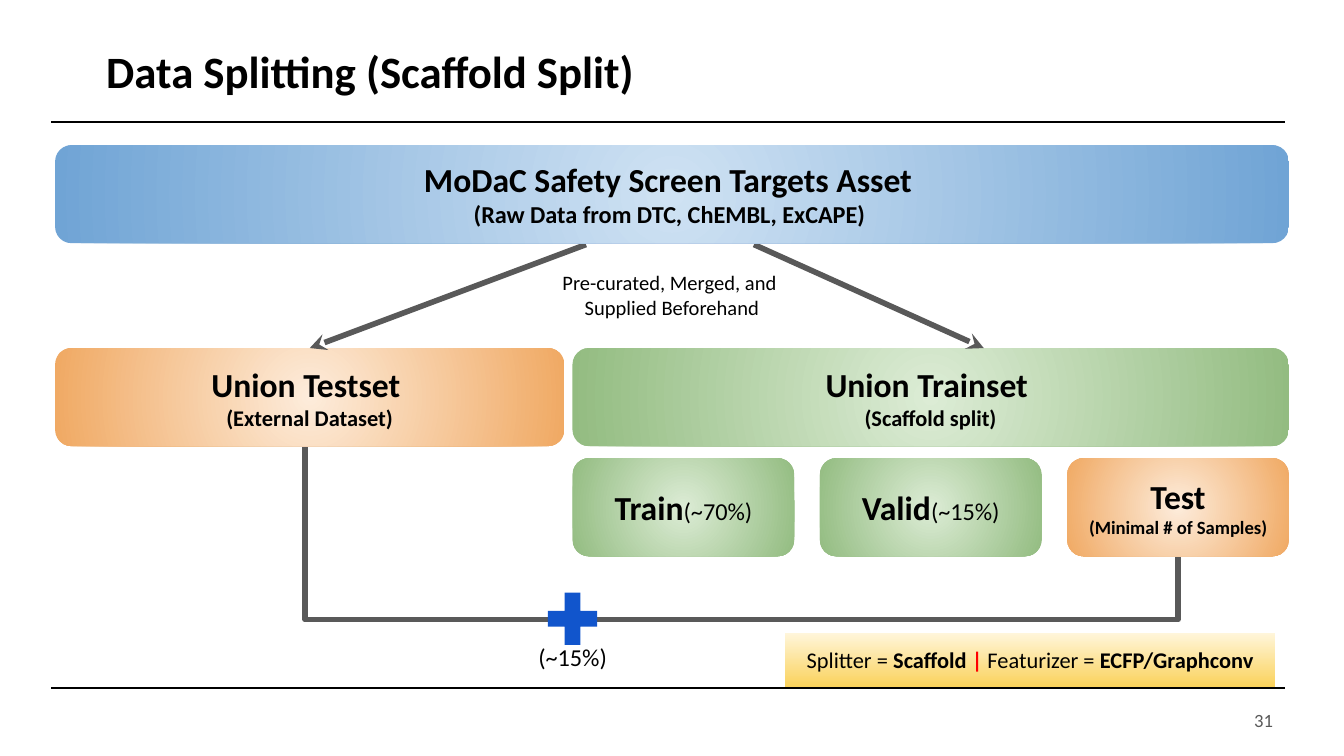
from lxml import etree
from pptx import Presentation
from pptx.dml.color import RGBColor
from pptx.enum.shapes import MSO_CONNECTOR, MSO_SHAPE
from pptx.enum.text import MSO_ANCHOR, PP_ALIGN
from pptx.oxml.ns import qn
from pptx.util import Inches, Pt

FONT = "Calibri"
BLACK, GREY, RED, PLUS_BLUE = "000000", "595959", "FF0000", "1155CC"
BLUE = ("CFE2F3", "70A4D5")
GREEN = ("DCECD5", "93BC81")
ORANGE = ("FDECDB", "F0A963")
YELLOW = ("FFF6DB", "FAD25C")
LEFT_ALIGN, CENTER, RIGHT = PP_ALIGN.LEFT, PP_ALIGN.CENTER, PP_ALIGN.RIGHT
MIDDLE, TOP = MSO_ANCHOR.MIDDLE, MSO_ANCHOR.TOP

# Text is a list of paragraphs, each a list of runs (text, size, bold, colour).
TITLE = [[("Data Splitting (Scaffold Split)", 24, True, BLACK)]]
NOTE = [[("Pre-curated, Merged, and ", 11, False, BLACK)],
        [("Supplied Beforehand", 11, False, BLACK)]]
SHARE = [[("(~15%)", 13, False, BLACK)]]
NUMBER = [[("31", 10, False, GREY)]]
SETTINGS = [[("Splitter = ", 12, False, BLACK), ("Scaffold ", 12, True, BLACK),
             ("| ", 12, True, RED), ("Featurizer = ", 12, False, BLACK),
             ("ECFP/Graphconv", 12, True, BLACK)]]


def heading(name, detail, size):
    return [[(name, 18, True, BLACK)], [(detail, size, True, BLACK)]]


def portion(name, share):
    return [[(name, 18, True, BLACK), (share, 13, False, BLACK)]]


LEFT, EDGE, BOX_H = 0.41, 9.59, 0.73
ASSET_Y, UNION_Y, SPLIT_Y = 1.08, 2.59, 3.41
TRAIN_X, SPLIT_W, SPLIT_STEP = 4.26, 1.65, 1.84
JOIN_Y = 4.61

SPLITS = [
    (portion("Train", "(~70%)"), GREEN),
    (portion("Valid", "(~15%)"), GREEN),
    (heading("Test", "(Minimal # of Samples)", 10), ORANGE),
]


def rgb(value):
    return RGBColor.from_string(value)


def write(sp, paragraphs, align=CENTER, anchor=MIDDLE, inset=0.1):
    tf = sp.text_frame
    tf.word_wrap = True
    tf.vertical_anchor = anchor
    tf.margin_left = tf.margin_right = Inches(0.1)
    tf.margin_top = tf.margin_bottom = Inches(inset)
    for i, runs in enumerate(paragraphs):
        p = tf.add_paragraph() if i else tf.paragraphs[0]
        p.alignment = align
        p.font.name = FONT
        for text, size, bold, color in runs:
            r = p.add_run()
            r.text = text
            r.font.name = FONT
            r.font.size = Pt(size)
            r.font.bold = bold
            r.font.color.rgb = rgb(color)


def add_shape(kind, x, y, w, h):
    sp = slide.shapes.add_shape(kind, Inches(x), Inches(y), Inches(w), Inches(h))
    sp.shadow.inherit = False
    sp.line.fill.background()
    return sp


def add_text(x, y, w, h, paragraphs, **layout):
    sp = slide.shapes.add_textbox(Inches(x), Inches(y), Inches(w), Inches(h))
    write(sp, paragraphs, **layout)


def shade(sp, colors, radial=True):
    """Two-colour gradient, from the centre outwards or from top to bottom."""
    sp.fill.gradient()
    sp.fill.gradient_angle = 270
    for stop, color in zip(sp.fill.gradient_stops, colors):
        stop.color.rgb = rgb(color)
    if radial:
        grad = sp._element.spPr.find(qn("a:gradFill"))
        grad.remove(grad.find(qn("a:lin")))
        circle = etree.SubElement(grad, qn("a:path"), path="circle")
        etree.SubElement(circle, qn("a:fillToRect"),
                         {side: "50000" for side in "ltrb"})


def add_box(x, y, w, paragraphs, colors):
    sp = add_shape(MSO_SHAPE.ROUNDED_RECTANGLE, x, y, w, BOX_H)
    shade(sp, colors)
    write(sp, paragraphs)
    return sp


def add_line(x1, y1, x2, y2, color, width, arrow=False):
    line = slide.shapes.add_connector(MSO_CONNECTOR.STRAIGHT, Inches(x1),
                                      Inches(y1), Inches(x2), Inches(y2))
    line.line.color.rgb = rgb(color)
    line.line.width = Pt(width)
    if arrow:
        ln = line._element.spPr.find(qn("a:ln"))
        etree.SubElement(ln, qn("a:tailEnd"), type="stealth")
    etree.SubElement(line._element.spPr, qn("a:effectLst"))
    return line


prs = Presentation()
prs.slide_width = Inches(10)
prs.slide_height = prs.slide_width * 9 // 16
slide = prs.slides.add_slide(prs.slide_layouts[5])

title = slide.shapes.title
title.left, title.top = Inches(0.69), Inches(0.32)
title.width, title.height = Inches(8.62), Inches(0.46)
write(title, TITLE, align=LEFT_ALIGN, inset=0.05)
title.text_frame.paragraphs[0].line_spacing = 0.9

for y in (0.91, 5.12):
    add_line(0.38, y, 9.56, y, BLACK, 1.3)

note = add_shape(MSO_SHAPE.ROUNDED_RECTANGLE, 3.42, 1.93, 3.16, 0.53)
note.fill.background()
write(note, NOTE)

# Bracket that joins the external test set with the scaffold test split
test_x = TRAIN_X + 2 * SPLIT_STEP + SPLIT_W / 2
corners = [(2.27, UNION_Y + BOX_H), (2.27, JOIN_Y),
           (test_x, JOIN_Y), (test_x, SPLIT_Y + BOX_H)]
points = [(Inches(x), Inches(y)) for x, y in corners]
builder = slide.shapes.build_freeform(*points[0])
builder.add_line_segments(points[1:], close=False)
bracket = builder.convert_to_shape()
bracket.shadow.inherit = False
bracket.fill.background()
bracket.line.color.rgb = rgb(GREY)
bracket.line.width = Pt(3)

add_box(TRAIN_X, UNION_Y, EDGE - TRAIN_X,
        heading("Union Trainset ", "(Scaffold split)", 12), GREEN)
testset = add_box(LEFT, UNION_Y, 3.79,
                  heading("Union Testset ", "(External Dataset)", 12), ORANGE)
for i, (text, colors) in enumerate(SPLITS):
    add_box(TRAIN_X + i * SPLIT_STEP, SPLIT_Y, SPLIT_W, text, colors)

plus = add_shape(MSO_SHAPE.MATH_PLUS, 4.01, 4.34, 0.5, 0.53)
plus.fill.solid()
plus.fill.fore_color.rgb = rgb(PLUS_BLUE)

add_line(5.61, 1.82, 7.32, UNION_Y, GREY, 3, arrow=True)
to_testset = add_line(4.36, 1.82, 2.3, UNION_Y, GREY, 3, arrow=True)
to_testset.end_connect(testset, 0)

add_box(LEFT, ASSET_Y, EDGE - LEFT,
        heading("MoDaC Safety Screen Targets Asset ",
                "(Raw Data from DTC, ChEMBL, ExCAPE) ", 13), BLUE)

add_text(2.62, 4.68, 3.28, 0.42, SHARE, anchor=TOP)
settings = add_shape(MSO_SHAPE.RECTANGLE, 5.84, 4.71, 3.65, 0.4)
shade(settings, YELLOW, radial=False)
write(settings, SETTINGS, anchor=TOP)
add_text(7.32, 5.21, 2.25, 0.3, NUMBER, align=RIGHT, inset=0.05)

prs.save("out.pptx")
